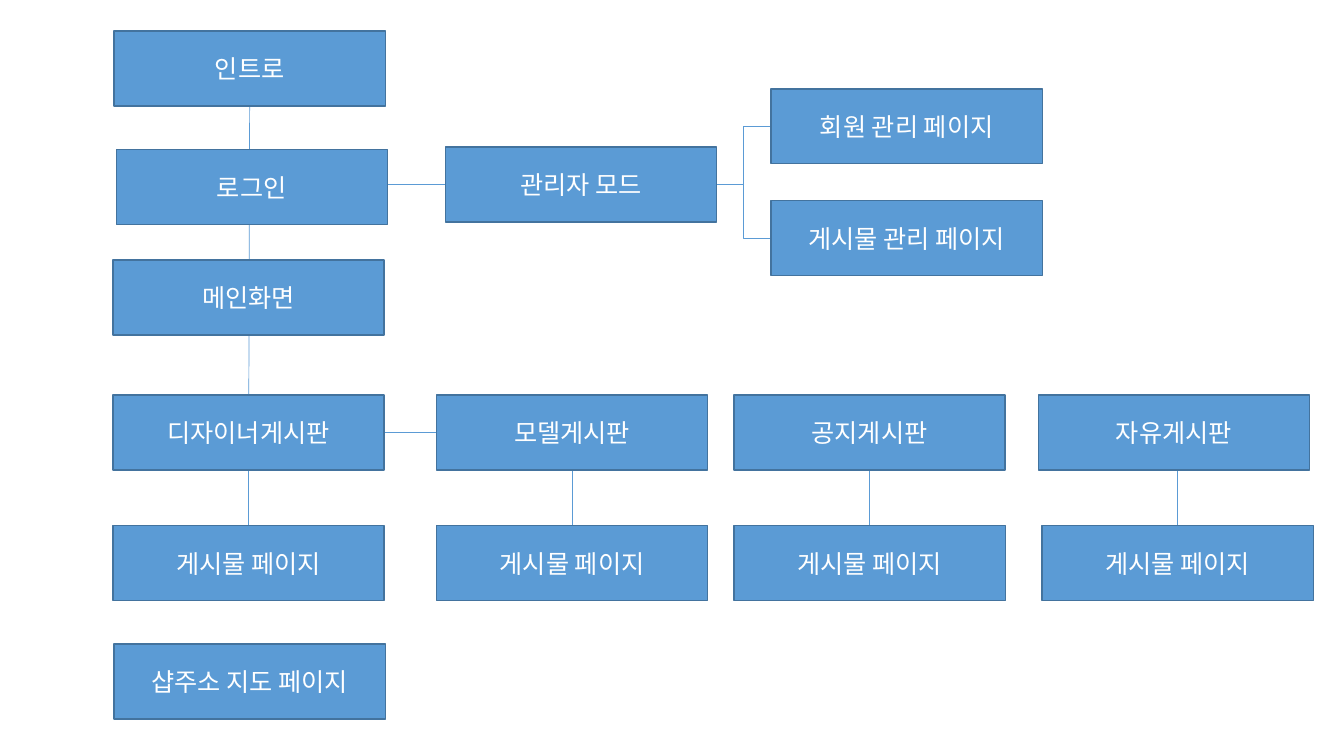
from lxml import etree
from pptx import Presentation
from pptx.dml.color import RGBColor
from pptx.enum.shapes import MSO_CONNECTOR, MSO_SHAPE
from pptx.enum.text import MSO_ANCHOR, PP_ALIGN
from pptx.oxml.ns import qn
from pptx.util import Pt

RECTANGLE = MSO_SHAPE.RECTANGLE
STRAIGHT, ELBOW = MSO_CONNECTOR.STRAIGHT, MSO_CONNECTOR.ELBOW
CENTER, MIDDLE = PP_ALIGN.CENTER, MSO_ANCHOR.MIDDLE
TOP, LEFT, BOTTOM, RIGHT = range(4)  # connection sites of a rectangle

THEME = {
    "fill": RGBColor(0x5B, 0x9B, 0xD5),
    "border": RGBColor(0x43, 0x73, 0x9E),
    "text": RGBColor(0xFF, 0xFF, 0xFF),
    "font": "Noto Sans CJK KR",
    "size": Pt(18),
    "border_width": Pt(1),
    "link_width": Pt(0.5),
}
PAGE_WIDTH, PAGE_HEIGHT = Pt(193.7), Pt(53.5)

prs = Presentation()
prs.slide_width, prs.slide_height = Pt(960), Pt(540)
slide = prs.slides.add_slide(prs.slide_layouts[6])
shapes = slide.shapes


def add_page(label, left, top):
    page = shapes.add_shape(RECTANGLE, Pt(left), Pt(top), PAGE_WIDTH, PAGE_HEIGHT)
    page.shadow.inherit = False
    page.fill.solid()
    page.fill.fore_color.rgb = THEME["fill"]
    page.line.color.rgb = THEME["border"]
    page.line.width = THEME["border_width"]
    page.text_frame.vertical_anchor = MIDDLE
    paragraph = page.text_frame.paragraphs[0]
    paragraph.text = label
    paragraph.alignment = CENTER
    paragraph.font.name = THEME["font"]
    paragraph.font.size = THEME["size"]
    paragraph.font.color.rgb = THEME["text"]
    return page


def link(kind, start, start_site, end, end_site, start_point=None):
    """Glue two pages; a start_point keeps a line straight between offset pages."""
    x, y = start_point or (start.left, start.top)
    line = shapes.add_connector(kind, x, y, x, y)
    if start_point is None:
        line.begin_connect(start, start_site)
    line.end_connect(end, end_site)
    line.line.color.rgb = THEME["fill"]
    line.line.width = THEME["link_width"]
    etree.SubElement(line._element.spPr, qn("a:effectLst"))
    shapes._spTree.insert(2, line._element)  # behind the pages


# Entry flow
intro = add_page("인트로", 81.5, 22.2)
login = add_page("로그인", 83, 106.8)
add_page("메인화면", 80.6, 185.8)
add_page("샵주소 지도 페이지", 81.5, 460)

# Administrator branch
admin = add_page("관리자 모드", 318.2, 105)
admin_pages = [
    add_page("회원 관리 페이지", 550.8, 63.5),
    add_page("게시물 관리 페이지", 550.8, 143.2),
]
link(STRAIGHT, login, RIGHT, admin, LEFT,
     (login.left + login.width, admin.top + admin.height // 2))
for admin_page in admin_pages:
    link(ELBOW, admin, RIGHT, admin_page, LEFT)

# Boards, each with its post page below
boards, posts = [], []
for label, board_left, post_left in [
    ("디자이너게시판", 80.6, 80.6),
    ("모델게시판", 311.8, 311.8),
    ("공지게시판", 524.2, 524.4),
    ("자유게시판", 741.6, 744.4),
]:
    boards.append(add_page(label, board_left, 282.2))
    posts.append(add_page("게시물 페이지", post_left, 375.4))

link(STRAIGHT, boards[0], RIGHT, boards[1], LEFT)
for board, post in zip(boards[1:], posts[1:]):
    link(STRAIGHT, board, BOTTOM, post, TOP,
         (post.left + post.width // 2, board.top + board.height))

# Trunk from the intro down to the first post page
link(STRAIGHT, intro, BOTTOM, posts[0], TOP)

prs.save("out.pptx")
